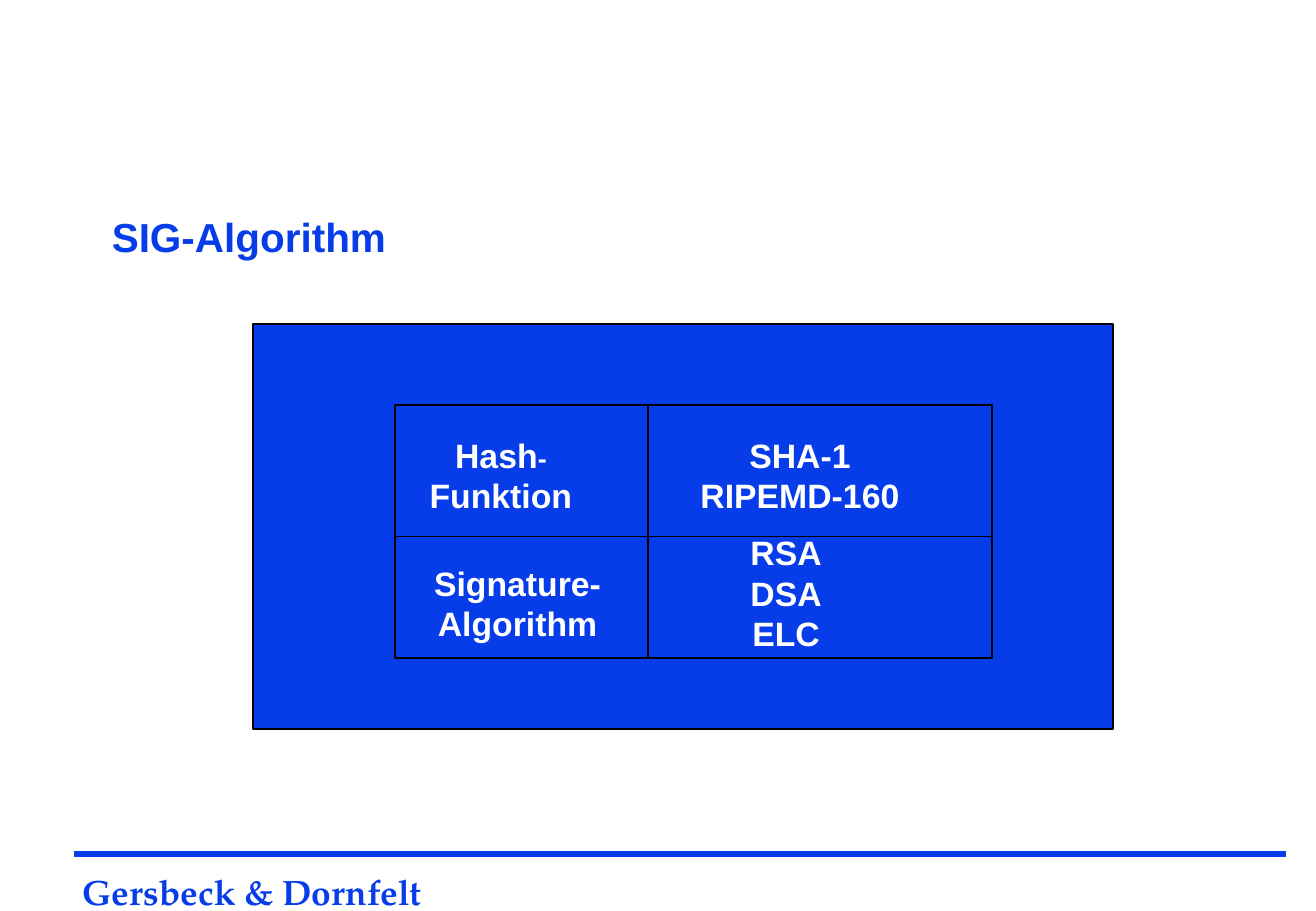
from lxml.etree import SubElement
from pptx import Presentation
from pptx.dml.color import RGBColor
from pptx.enum.shapes import MSO_CONNECTOR, MSO_SHAPE
from pptx.enum.text import MSO_ANCHOR, MSO_AUTO_SIZE, PP_ALIGN
from pptx.oxml.ns import qn
from pptx.util import Cm, Pt

BLUE = RGBColor(0x06, 0x3D, 0xE8)
BLACK = RGBColor(0, 0, 0)
WHITE = RGBColor(0xFF, 0xFF, 0xFF)

GRID_LEFT, GRID_TOP, GRID_WIDTH, GRID_HEIGHT = 8.26, 8.47, 12.5, 5.29
COLUMN_X, ROW_Y = 13.55, 11.22

CELLS = [
    ((8.63, 8.96, 3.7, 1.96), [[("Hash", 20), ("-", 16)], [("Funktion", 20)]]),
    ((8.73, 11.64, 4.2, 1.96), [[("Signature-", 20)], [("Algorithm", 20)]]),
    ((14.29, 8.96, 4.89, 1.96), [[("SHA-1", 20)], [("RIPEMD-160", 20)]]),
    ((15.33, 11, 2.23, 2.79), [[("RSA", 20)], [("DSA", 20)], [("ELC", 20)]]),
]


def add_panel(slide, left, top, width, height):
    """Add a blue rectangle with a thin black outline."""
    panel = slide.shapes.add_shape(
        MSO_SHAPE.RECTANGLE, Cm(left), Cm(top), Cm(width), Cm(height))
    panel.shadow.inherit = False
    panel.fill.solid()
    panel.fill.fore_color.rgb = BLUE
    panel.line.color.rgb = BLACK
    panel.line.width = Pt(1)


def add_rule(slide, start, end, color, weight):
    """Add a straight line without a shadow."""
    rule = slide.shapes.add_connector(
        MSO_CONNECTOR.STRAIGHT, *(Cm(value) for value in start + end))
    rule.line.color.rgb = color
    rule.line.width = Pt(weight)
    SubElement(rule._element.spPr, qn("a:effectLst"))


def add_run(paragraph, text, size, color, font_name="Arial"):
    """Add a bold run to a paragraph and return it."""
    run = paragraph.add_run()
    run.text = text
    run.font.name = font_name
    run.font.size = Pt(size)
    run.font.bold = True
    run.font.color.rgb = color
    return run


def add_text_frame(slide, box, wrap):
    """Add a text box that fits its text and return its frame."""
    frame = slide.shapes.add_textbox(*(Cm(value) for value in box)).text_frame
    frame.word_wrap = wrap
    frame.auto_size = MSO_AUTO_SIZE.SHAPE_TO_FIT_TEXT
    return frame


def remove_margins(frame):
    """Set all insets of a text frame to zero."""
    frame.margin_left = frame.margin_right = Cm(0)
    frame.margin_top = frame.margin_bottom = Cm(0)


def add_title(slide):
    """Add the slide heading."""
    title = add_text_frame(slide, (2.34, 4.24, 23.29, 1.22), True)
    remove_margins(title)
    heading = title.paragraphs[0]
    heading.line_spacing = 1.2
    add_run(heading, "SIG-Algorithm", 24, BLUE)


def add_cell_text(slide, box, lines):
    """Add the centred lines of one grid cell."""
    cell = add_text_frame(slide, box, False)
    for index, runs in enumerate(lines):
        line = cell.add_paragraph() if index else cell.paragraphs[0]
        line.alignment = PP_ALIGN.CENTER
        for text, size in runs:
            add_run(line, text, size, WHITE)


def add_footer(slide):
    """Add the footer rule and the lowered company name."""
    footer = add_text_frame(slide, (1.73, 17.53, 7.57, 1.47), False)
    remove_margins(footer)
    footer.vertical_anchor = MSO_ANCHOR.BOTTOM
    company_line = footer.paragraphs[0]
    company_line.line_spacing = 0.9
    company = add_run(
        company_line, "Gersbeck & Dornfelt", 36, BLUE, "TeX Gyre Pagella")
    company._r.get_or_add_rPr().set("baseline", "-18000")
    add_rule(slide, (1.55, 17.86), (26.9, 17.86), BLUE, 4)


def main():
    """Build and save the slide."""
    presentation = Presentation()
    presentation.slide_width = Cm(27.53)
    presentation.slide_height = Cm(19.05)
    slide = presentation.slides.add_slide(presentation.slide_layouts[6])

    add_footer(slide)
    add_title(slide)
    add_panel(slide, 5.29, 6.78, 18, 8.47)
    add_panel(slide, GRID_LEFT, GRID_TOP, GRID_WIDTH, GRID_HEIGHT)
    add_rule(slide, (GRID_LEFT, ROW_Y), (GRID_LEFT + GRID_WIDTH, ROW_Y), BLACK, 1)
    add_rule(slide, (COLUMN_X, GRID_TOP), (COLUMN_X, GRID_TOP + GRID_HEIGHT), BLACK, 1)
    for box, lines in CELLS:
        add_cell_text(slide, box, lines)

    presentation.save("out.pptx")


if __name__ == "__main__":
    main()
